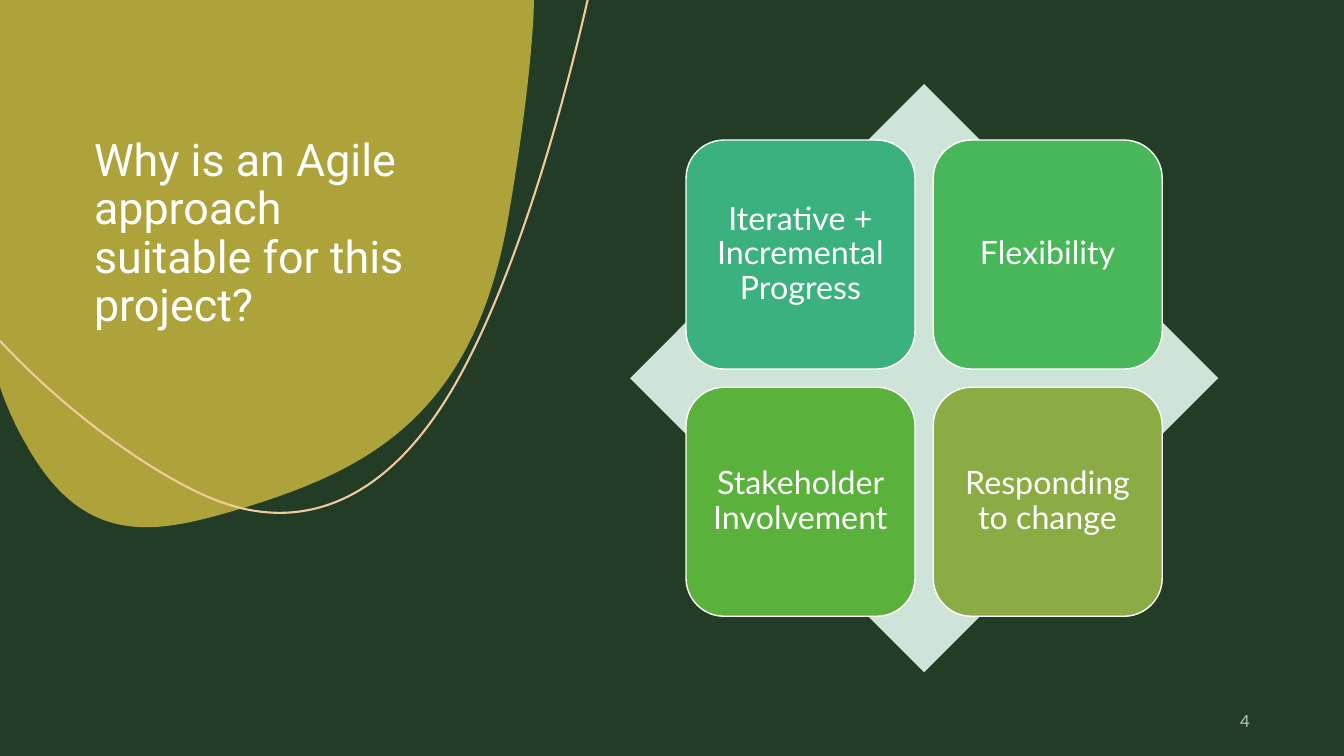
from pptx import Presentation, util as u
from pptx.dml.color import RGBColor
from pptx.enum import shapes, text
from pptx.oxml.ns import qn
from lxml import etree

TITLE = "Why is an Agile approach suitable for this project?"
PAGE = "4"
REASONS = [
    ("Iterative + Incremental Progress", "3BB17E"),
    ("Flexibility", "48B759"),
    ("Stakeholder Involvement", "5AB13B"),
    ("Responding to change", "8BAC44"),
]
THEME = {
    "background": "223C26", "blob": "AEA33A", "arc": "F1CB9C",
    "diamond": "CEE4D8", "white": "FFFFFF",
    "heading_font": "Roboto", "body_font": "Lato",
    "title_size": 32, "tile_size": 23, "page_size": 12,
}
SLIDE_WIDTH, SLIDE_HEIGHT = 33.87, 19.05
BLOB_HEIGHT, ARC_HEIGHT = 13.28, 12.93
BLOB = [
    [(13.46, 0)], [(13.44, 0.51)],
    [(13.34, 2.08), (13.11, 3.71), (12.83, 5.36)],
    [(11.99, 10.44), (9.32, 11.81), (6.2, 12.78)],
    [(4.09, 13.41), (2.18, 13.94), (0.66, 11.2)],
    [(0.43, 10.82), (0.25, 10.41), (0.08, 9.98)],
    [(0, 9.75)], [(0, 0)],
]
ARC = [
    [(14.81, 0)],
    [(13.89, 3.99), (12.73, 7.44), (11.53, 9.58)],
    [(9.73, 12.8), (7.47, 13.44), (5.36, 12.57)],
    [(4.39, 12.19), (2.13, 10.87), (0, 8.59)],
]
DIAMOND_LEFT, DIAMOND_TOP, DIAMOND_SIDE = 15.88, 2.12, 14.82
TILE_SIDE, TILE_GAP = 5.77, 0.46


def color(name):
    return RGBColor.from_string(THEME.get(name, name))


def paint(shape, fill=None, line=None, width=1):
    shape.shadow.inherit = False
    if fill:
        shape.fill.solid()
        shape.fill.fore_color.rgb = color(fill)
    else:
        shape.fill.background()
    if line:
        shape.line.color.rgb = color(line)
        shape.line.width = u.Pt(width)
    else:
        shape.line.fill.background()
    return shape


def write(shape, words, size, font="body_font", align=text.PP_ALIGN.LEFT,
          anchor=text.MSO_ANCHOR.MIDDLE, spacing=0.9, inset=0.25, alpha=None):
    frame = shape.text_frame
    frame.word_wrap = True
    frame.vertical_anchor = anchor
    frame.margin_left = frame.margin_right = u.Cm(inset)
    paragraph = frame.paragraphs[0]
    paragraph.alignment = align
    paragraph.line_spacing = spacing
    run = paragraph.add_run()
    run.text = words
    run.font.size = u.Pt(THEME[size])
    run.font.name = THEME[font]
    run.font.color.rgb = color("white")
    if alpha:
        tint = run.font._element.find(".//" + qn("a:srgbClr"))
        etree.SubElement(tint, qn("a:alpha")).set("val", str(alpha * 1000))


def curve(slide, outline, height, close):
    start, *rest = [(u.Cm(x), u.Cm(y)) for step in outline for x, y in step]
    builder = slide.shapes.build_freeform(*start, scale=1.0)
    builder.add_line_segments(rest, close=close)
    shape = builder.convert_to_shape()
    route = shape._element.find(".//" + qn("a:path"))
    route.set("h", str(u.Cm(height)))
    shape.height = u.Cm(height)
    segments = iter(route.findall(qn("a:lnTo")))
    for step in outline[1:]:
        parts = [next(segments) for _ in step]
        if len(parts) == 3:
            bezier = etree.Element(qn("a:cubicBezTo"))
            parts[0].addprevious(bezier)
            for part in parts:
                bezier.append(part[0])
                route.remove(part)
    return shape


def place(slide, kind, left, top, width, height):
    return slide.shapes.add_shape(kind, u.Cm(left), u.Cm(top), u.Cm(width), u.Cm(height))


def main():
    deck = Presentation()
    deck.slide_width, deck.slide_height = u.Cm(SLIDE_WIDTH), u.Cm(SLIDE_HEIGHT)
    slide = deck.slides.add_slide(deck.slide_layouts[6])
    slide.background.fill.solid()
    slide.background.fill.fore_color.rgb = color("background")

    paint(place(slide, shapes.MSO_SHAPE.RECTANGLE, 0, 0, SLIDE_WIDTH, SLIDE_HEIGHT),
          fill="background")
    paint(curve(slide, BLOB, BLOB_HEIGHT, True), fill="blob")
    paint(curve(slide, ARC, ARC_HEIGHT, False), line="arc", width=1.5)

    title = slide.shapes.add_textbox(u.Cm(2.12), u.Cm(2.12), u.Cm(8.46), u.Cm(6.35))
    write(title, TITLE, "title_size", font="heading_font", anchor=text.MSO_ANCHOR.BOTTOM)
    page = slide.shapes.add_textbox(u.Cm(27.51), u.Cm(17.65), u.Cm(4.24), u.Cm(1.02))
    write(page, PAGE, "page_size", align=text.PP_ALIGN.RIGHT, spacing=1.0, alpha=70)

    paint(place(slide, shapes.MSO_SHAPE.DIAMOND, DIAMOND_LEFT, DIAMOND_TOP,
                DIAMOND_SIDE, DIAMOND_SIDE), fill="diamond")
    margin = (DIAMOND_SIDE - 2 * TILE_SIDE - TILE_GAP) / 2
    pitch = TILE_SIDE + TILE_GAP
    for i, (reason, fill) in enumerate(REASONS):
        row, column = divmod(i, 2)
        tile = place(slide, shapes.MSO_SHAPE.ROUNDED_RECTANGLE,
                     DIAMOND_LEFT + margin + column * pitch,
                     DIAMOND_TOP + margin + row * pitch, TILE_SIDE, TILE_SIDE)
        paint(tile, fill=fill, line="white")
        write(tile, reason, "tile_size", align=text.PP_ALIGN.CENTER)

    deck.save("out.pptx")


if __name__ == "__main__":
    main()
